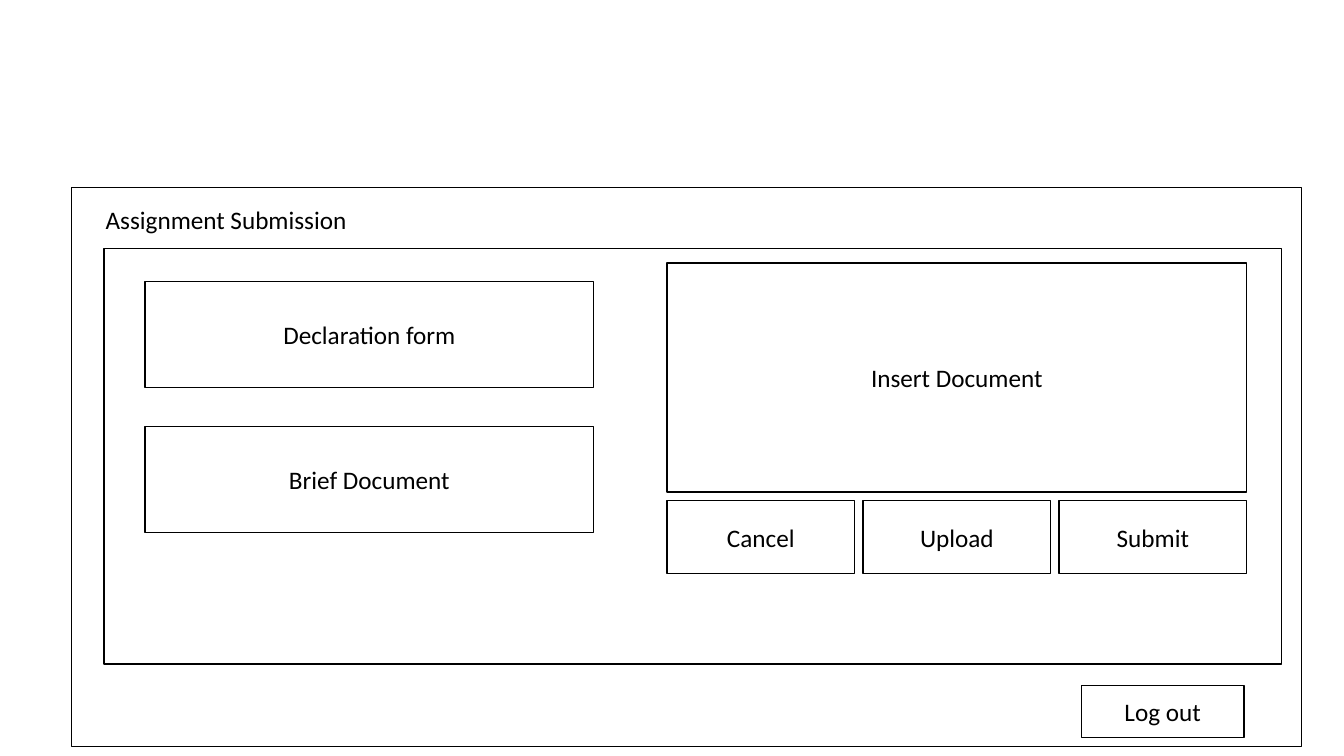
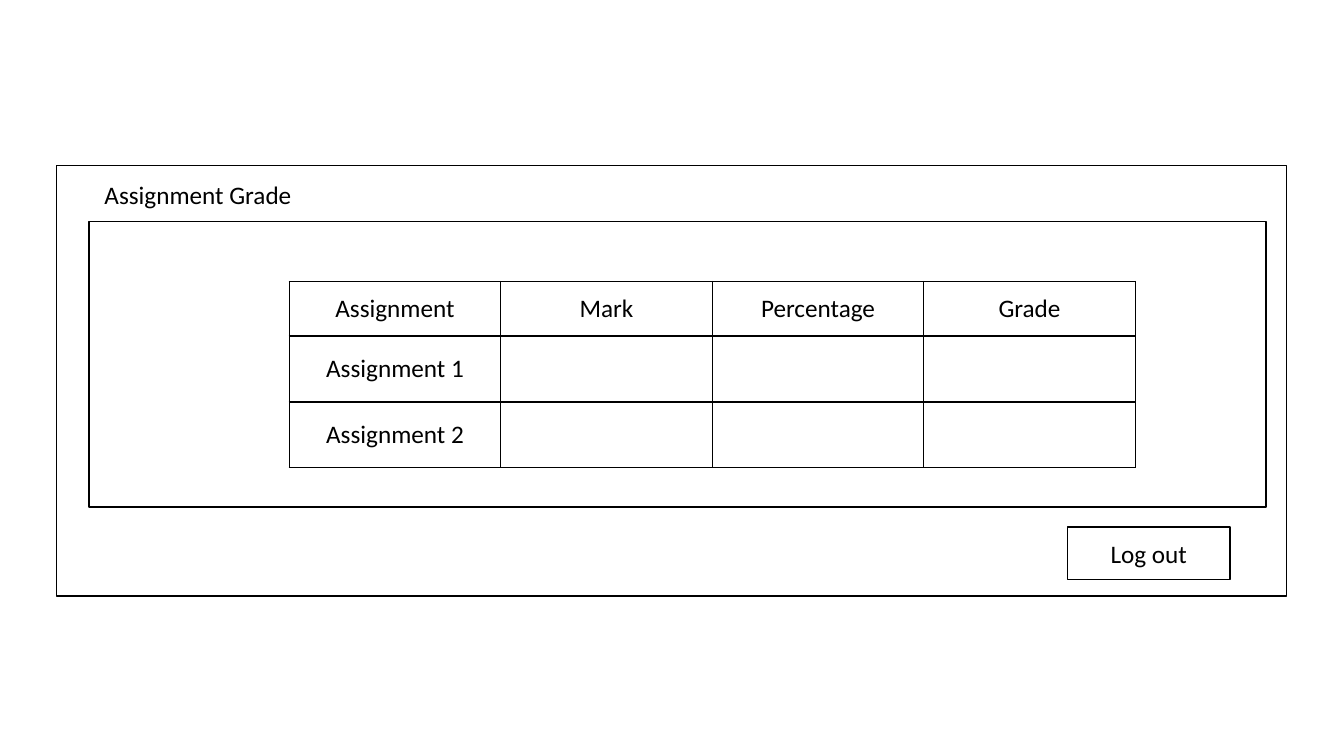
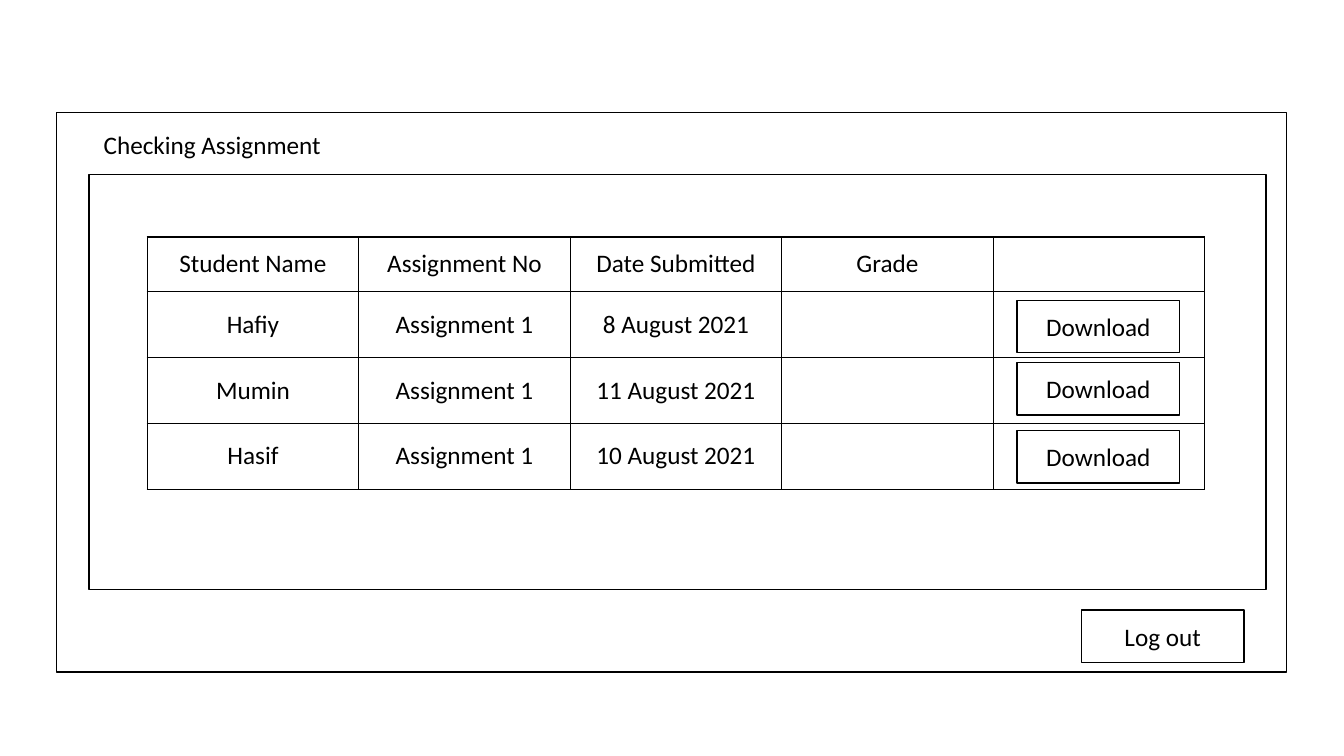
from lxml.etree import SubElement
from pptx import Presentation
from pptx.dml.color import RGBColor
from pptx.enum.shapes import MSO_SHAPE as SHAPE
from pptx.enum.text import MSO_ANCHOR as ANCHOR, PP_ALIGN as ALIGN
from pptx.oxml.ns import qn
from pptx.util import Cm, Pt

INK = "000000"
FONT = "Calibri"
FONT_SIZE = 18
LINE_WIDTH = 1

FRAME_W = 31
PANEL_INDENT = 0.82
PANEL_W = 29.67
TITLE_H = 1.55
BUTTON_W, BUTTON_H = 4.1, 1.32
COL_W = 5.33
HEAD_H, ROW_H = 1.38, 1.66


def color(hex_text):
    return RGBColor.from_string(hex_text)


def write(tf, text):
    p = tf.paragraphs[0]
    p.text = text
    p.alignment = ALIGN.CENTER
    p.font.name = FONT
    p.font.size = Pt(FONT_SIZE)
    p.font.bold = False
    p.font.color.rgb = color(INK)


def add_box(s, x, y, w, h, text=""):
    sp = s.shapes.add_shape(SHAPE.RECTANGLE, Cm(x), Cm(y), Cm(w), Cm(h))
    sp.shadow.inherit = False
    sp.fill.background()
    sp.line.color.rgb = color(INK)
    sp.line.width = Pt(LINE_WIDTH)
    if text:
        tf = sp.text_frame
        tf.word_wrap = True
        tf.vertical_anchor = ANCHOR.MIDDLE
        write(tf, text)


def add_button(s, x, y, text):
    add_box(s, x, y, BUTTON_W, BUTTON_H, text)


def add_title(s, x, y, w, text):
    sp = s.shapes.add_textbox(Cm(x), Cm(y), Cm(w), Cm(TITLE_H))
    tf = sp.text_frame
    tf.word_wrap = True
    tf.vertical_anchor = ANCHOR.MIDDLE
    write(tf, text)


def add_window(prs, x, y, h, panel_y, panel_h):
    s = prs.slides.add_slide(prs.slide_layouts[6])
    add_box(s, x, y, FRAME_W, h)
    add_box(s, x + PANEL_INDENT, panel_y, PANEL_W, panel_h)
    return s


def set_borders(cell):
    tc_pr = cell._tc.get_or_add_tcPr()
    for side in ("a:lnL", "a:lnR", "a:lnT", "a:lnB"):
        ln = SubElement(tc_pr, qn(side), w=str(Pt(LINE_WIDTH)))
        fill = SubElement(ln, qn("a:solidFill"))
        SubElement(fill, qn("a:srgbClr"), val=INK)


def add_grid(s, x, y, rows):
    n_rows, n_cols = len(rows), len(rows[0])
    height = HEAD_H + ROW_H * (n_rows - 1)
    table = s.shapes.add_table(n_rows, n_cols, Cm(x), Cm(y),
                               Cm(COL_W * n_cols), Cm(height)).table
    table.first_row = False
    table.horz_banding = False
    for col in table.columns:
        col.width = Cm(COL_W)
    for i, values in enumerate(rows):
        table.rows[i].height = Cm(ROW_H if i else HEAD_H)
        for j, value in enumerate(values):
            cell = table.cell(i, j)
            set_borders(cell)
            cell.fill.background()
            cell.vertical_anchor = ANCHOR.MIDDLE
            write(cell.text_frame, value)


def submission_slide(prs):
    s = add_window(prs, 1.8, 4.72, 14.1, 6.27, 10.46)
    add_title(s, 2.36, 4.75, 6.68, "Assignment Submission")
    for i, text in enumerate(("Declaration form", "Brief Document")):
        add_box(s, 3.66, 7.09 + 3.66 * i, 11.3, 2.67, text)
    add_box(s, 16.81, 6.63, 14.61, 5.77, "Insert Document")
    for i, text in enumerate(("Cancel", "Upload", "Submit")):
        add_box(s, 16.81 + 4.94 * i, 12.62, 4.73, 1.83, text)
    add_button(s, 27.25, 17.27, "Log out")


def grade_slide(prs):
    s = add_window(prs, 1.42, 4.17, 10.85, 5.59, 7.19)
    add_title(s, 2.3, 4.12, 5.38, "Assignment Grade")
    add_button(s, 26.9, 13.28, "Log out")
    add_grid(s, 7.29, 7.09, [
        ("Assignment", "Mark", "Percentage", "Grade"),
        ("Assignment 1", "", "", ""),
        ("Assignment 2", "", "", ""),
    ])


def checking_slide(prs):
    s = add_window(prs, 1.42, 2.84, 14.1, 4.4, 10.46)
    add_title(s, 2.01, 2.87, 6.68, "Checking Assignment")
    add_button(s, 27.25, 15.37, "Log out")
    add_grid(s, 3.71, 5.97, [
        ("Student Name", "Assignment No", "Date Submitted", "Grade", ""),
        ("Hafiy", "Assignment 1", "8 August 2021", "", ""),
        ("Mumin", "Assignment 1", "11 August 2021", "", ""),
        ("Hasif", "Assignment 1", "10 August 2021", "", ""),
    ])
    for y in (7.57, 9.14, 10.85):
        add_button(s, 25.63, y, "Download")


def main():
    prs = Presentation()
    prs.slide_width = Cm(33.87)
    prs.slide_height = Cm(19.05)
    submission_slide(prs)
    grade_slide(prs)
    checking_slide(prs)
    prs.save("out.pptx")


if __name__ == "__main__":
    main()
